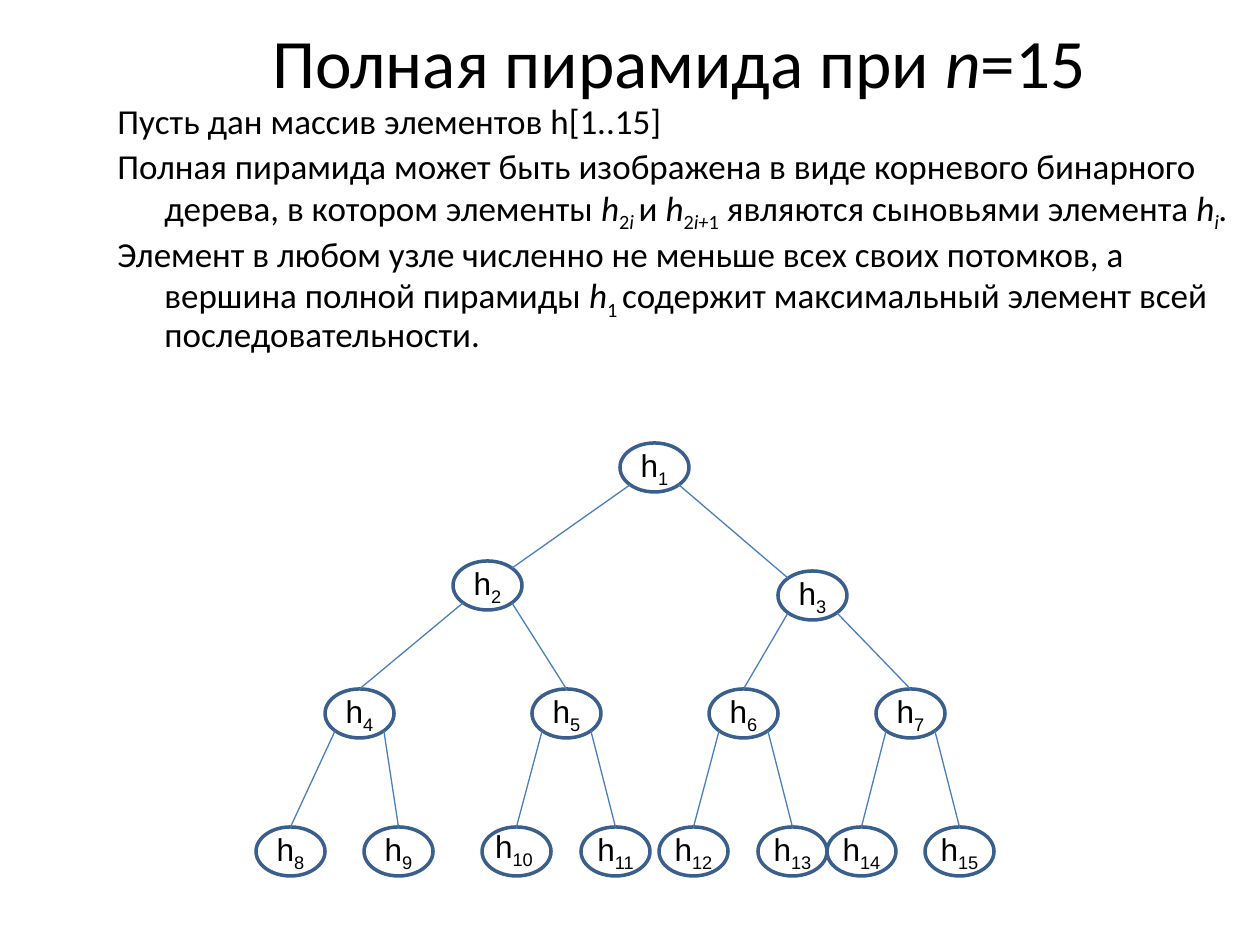
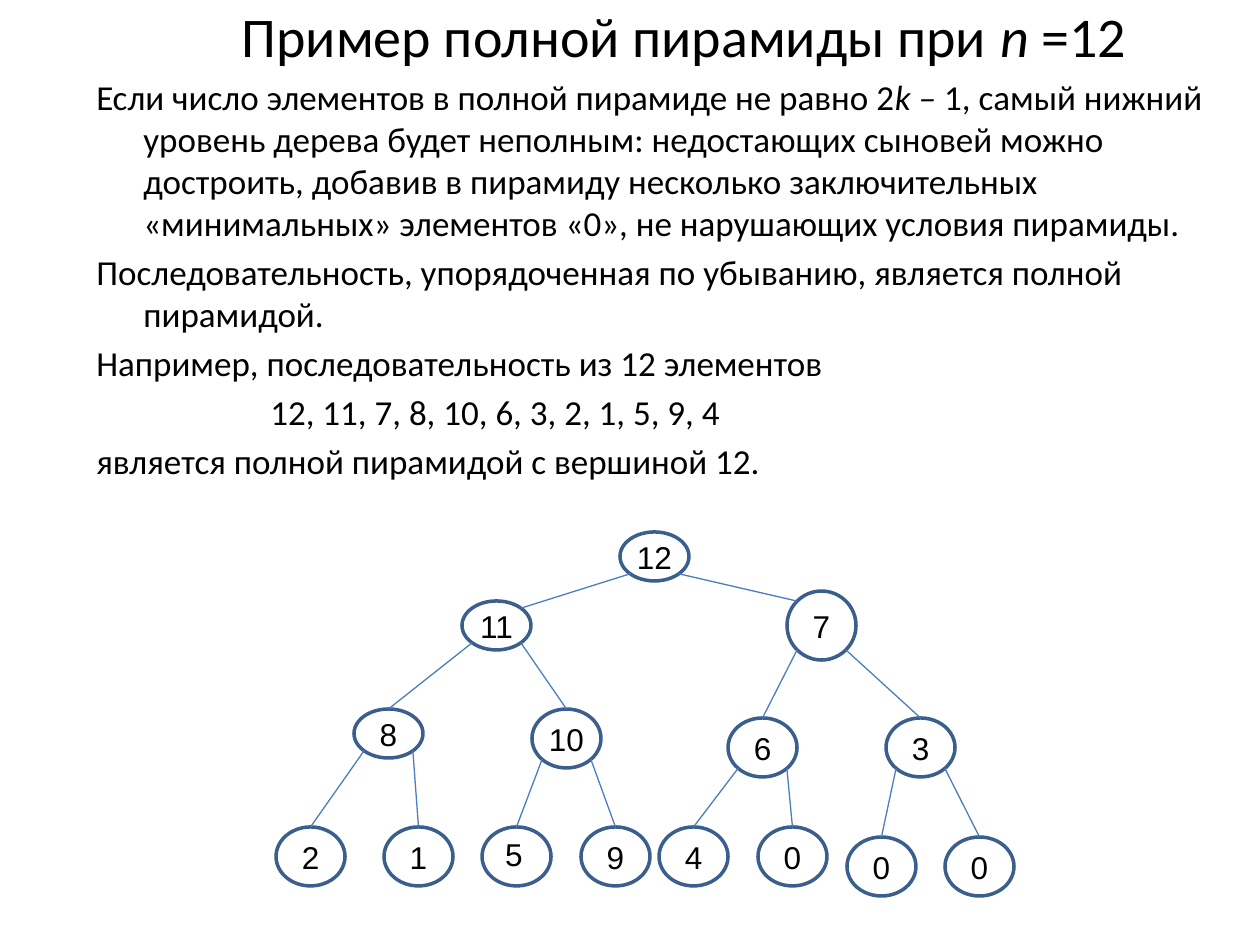
import pptx
import pptx.util
import pptx.dml.color
import pptx.enum.shapes
import pptx.enum.text
import pptx.oxml.ns
from lxml import etree

PX = 914400 / 126
WIDTH, HEIGHT = 1260, 945
BLACK, OUTLINE, EDGE = "000000", "3A5F8C", "4B7EBC"
TEXT_FONT, NODE_FONT = "Calibri", "Arial"
HANGING = (47, -47)
NODE_W = 69
DIAGONAL = 0.5 ** 0.5 / 2  # offset of an ellipse's diagonal point from its centre

# Runs are (text, style): i = italic, s = subscript.
# Nodes are (left, top, height) in heap order: node k has the sons 2k and 2k + 1.
SLIDES = [
    {
        "title": [("Полная пирамида при ", ""), ("n", "i"), ("=15", "")],
        "title_box": (137, 20, 1084, 81),
        "title_size": 39.6,
        "body_box": (105, 98, 1155, 276),
        "line_spacing": 0.9,
        "body": [
            (HANGING, [("Пусть дан массив элементов h[1..15]", "")]),
            (HANGING, [
                ("Полная пирамида может быть изображена в виде корневого "
                 "бинарного дерева, в котором элементы ", ""),
                ("h", "i"), ("2", "s"), ("i ", "is"), ("и ", ""),
                ("h", "i"), ("2", "s"), ("i+", "is"), ("1", "s"),
                (" являются сыновьями элемента ", ""),
                ("h", "i"), ("i", "is"), (".", "i")]),
            (HANGING, [
                ("Элемент в любом узле численно не меньше всех своих потомков, "
                 "а вершина полной пирамиды ", ""),
                ("h", "i"), ("1 ", "s"),
                ("содержит максимальный элемент всей последовательности.", "")]),
        ],
        "labels": [[("h", ""), (str(k), "s")] for k in range(1, 16)],
        "nodes": [
            (620, 443, 49),
            (453, 561, 49), (778, 571, 49),
            *[(x, 689, 49) for x in (325, 532, 709, 876)],
            *[(x, 827, 49) for x in (256, 364, 482, 581, 659, 758, 827, 925)],
        ],
    },
    {
        "title": [("Пример полной пирамиды при ", ""), ("n ", "i"), ("=12", "")],
        "title_box": (137, 0, 1094, 71),
        "title_size": 32,
        "body_box": (84, 69, 1147, 472),
        "line_spacing": 1.0,
        "body": [
            (HANGING, [
                ("Если число элементов в полной пирамиде не равно 2", ""),
                ("k – ", "i"),
                ("1, самый нижний уровень дерева будет неполным: недостающих "
                 "сыновей можно достроить, добавив в пирамиду несколько "
                 "заключительных «минимальных» элементов «0», не нарушающих "
                 "условия пирамиды.", "")]),
            (HANGING, [("Последовательность, упорядоченная по убыванию, "
                        "является полной пирамидой.", "")]),
            (HANGING, [("Например, последовательность из 12 элементов", "")]),
            ((174, 0), [("12, 11, 7, 8, 10, 6, 3, 2, 1, 5, 9, 4", "")]),
            (HANGING, [("является полной пирамидой с вершиной 12.", "")]),
        ],
        "labels": [[(str(n), "")] for n in
                   (12, 11, 7, 8, 10, 6, 3, 2, 1, 5, 9, 4, 0, 0, 0)],
        "nodes": [
            (620, 532, 49),
            (462, 601, 49), (787, 591, 69),
            (354, 709, 49), (532, 709, 59), (728, 718, 59), (886, 718, 59),
            *[(x, 827, 59) for x in (276, 384, 482, 581, 659, 758)],
            *[(x, 837, 59) for x in (847, 945)],
        ],
    },
]


def px(*lengths):
    return [pptx.util.Emu(round(n * PX)) for n in lengths]


def rgb(value):
    return pptx.dml.color.RGBColor.from_string(value)


def add_runs(p, runs, font, size):
    for text, style in runs:
        r = p.add_run()
        r.text = text
        r.font.name = font
        r.font.size = pptx.util.Pt(size)
        r.font.color.rgb = rgb(BLACK)
        r.font.italic = "i" in style
        if "s" in style:
            r.font._element.set("baseline", "-25000")


def add_title(s, spec):
    title = s.shapes.title
    title.left, title.top, title.width, title.height = px(*spec["title_box"])
    tf = title.text_frame
    tf.word_wrap = True
    tf.auto_size = pptx.enum.text.MSO_AUTO_SIZE.NONE
    tf.vertical_anchor = pptx.enum.text.MSO_ANCHOR.MIDDLE
    tf.paragraphs[0].alignment = pptx.enum.text.PP_ALIGN.CENTER
    add_runs(tf.paragraphs[0], spec["title"], TEXT_FONT, spec["title_size"])


def add_body(s, spec):
    tf = s.shapes.add_textbox(*px(*spec["body_box"])).text_frame
    tf.word_wrap = True
    for i, ((margin, indent), runs) in enumerate(spec["body"]):
        p = tf.add_paragraph() if i else tf.paragraphs[0]
        p.line_spacing = spec["line_spacing"]
        p.space_before = pptx.util.Pt(4)
        margin, indent = px(margin, indent)
        p._p.get_or_add_pPr().set("marL", str(margin))
        p._p.get_or_add_pPr().set("indent", str(indent))
        add_runs(p, runs, TEXT_FONT, 20)


def node_insets(k):
    """Left, top, right and bottom insets: two-digit nodes get more room."""
    if k < 10:
        return 5, 5, 5, 5
    return (0, 0, 5, 5) if k == 10 else (0, 5, 0, 5)


def add_node(s, k, node, label):
    x, y, h = node
    sp = s.shapes.add_shape(pptx.enum.shapes.MSO_SHAPE.OVAL, *px(x, y, NODE_W, h))
    sp.shadow.inherit = False
    sp.fill.background()
    sp.line.color.rgb = rgb(OUTLINE)
    sp.line.width = pptx.util.Pt(2)
    tf = sp.text_frame
    tf.word_wrap = True
    tf.vertical_anchor = pptx.enum.text.MSO_ANCHOR.MIDDLE
    (tf.margin_left, tf.margin_top,
     tf.margin_right, tf.margin_bottom) = px(*node_insets(k))
    tf.paragraphs[0].alignment = pptx.enum.text.PP_ALIGN.CENTER
    add_runs(tf.paragraphs[0], label, NODE_FONT, 18)


def rim_point(node, dx, dy):
    """Point of the ellipse, dx and dy being shares of its width and height."""
    x, y, h = node
    return x + NODE_W * (0.5 + dx), y + h * (0.5 + dy)


def add_edge(s, nodes, k):
    """Join node k to its parent."""
    side = -DIAGONAL if k % 2 == 0 else DIAGONAL
    start = rim_point(nodes[k // 2 - 1], side, DIAGONAL)
    if k < 4:
        end = rim_point(nodes[k - 1], -side, -DIAGONAL)
    else:
        end = rim_point(nodes[k - 1], 0, -0.5)
    line = s.shapes.add_connector(pptx.enum.shapes.MSO_CONNECTOR.STRAIGHT,
                                  *px(*start, *end))
    line.line.color.rgb = rgb(EDGE)
    line.line.width = pptx.util.Pt(0.75)
    etree.SubElement(line._element.spPr, pptx.oxml.ns.qn("a:effectLst"))


def main():
    prs = pptx.Presentation()
    prs.slide_width, prs.slide_height = px(WIDTH, HEIGHT)
    for spec in SLIDES:
        s = prs.slides.add_slide(prs.slide_layouts.get_by_name("Title Only"))
        add_title(s, spec)
        add_body(s, spec)
        nodes = spec["nodes"]
        for k, (node, label) in enumerate(zip(nodes, spec["labels"]), 1):
            add_node(s, k, node, label)
        for k in range(2, len(nodes) + 1):
            add_edge(s, nodes, k)
    prs.save("out.pptx")


if __name__ == "__main__":
    main()
